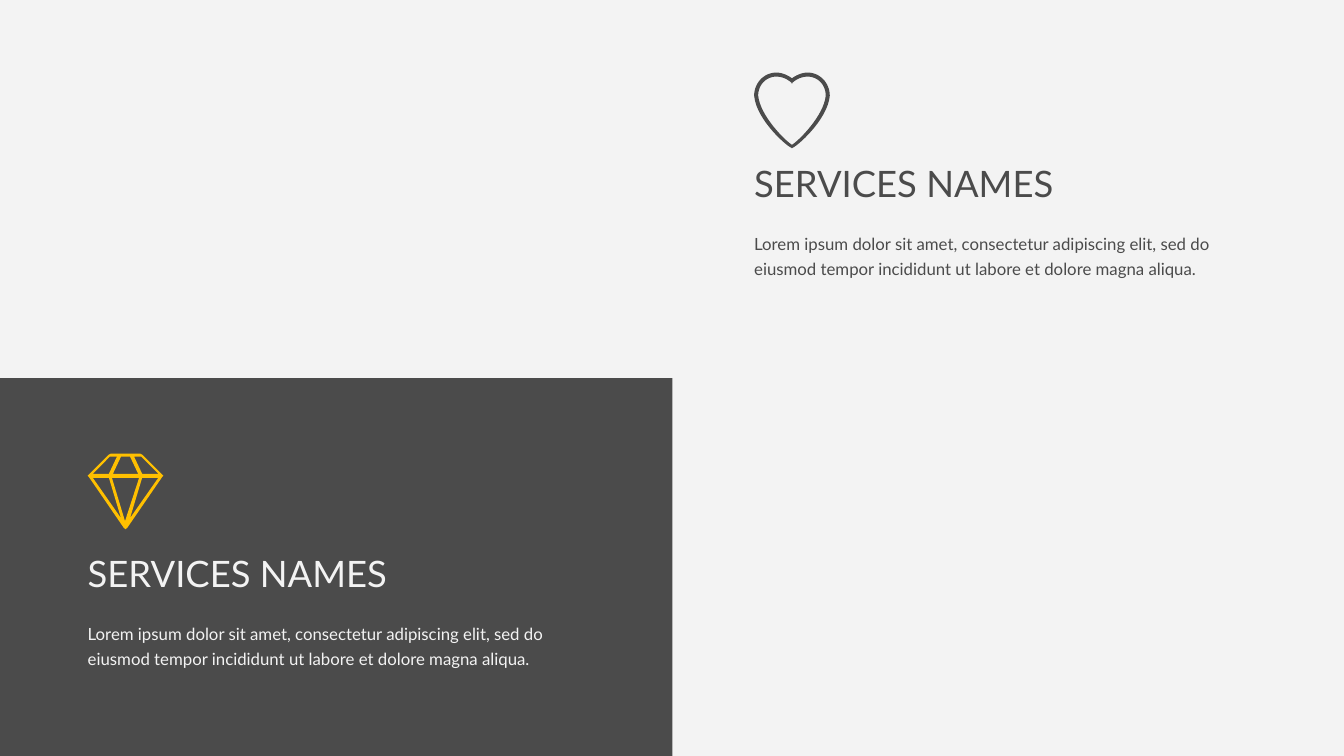
from pptx import Presentation
from pptx.dml.color import RGBColor
from pptx.enum.text import MSO_ANCHOR, MSO_AUTO_SIZE, PP_ALIGN
from pptx.enum.shapes import MSO_SHAPE
from pptx.util import Inches, Pt

RECT = MSO_SHAPE.RECTANGLE
TOP = MSO_ANCHOR.TOP
LEFT = PP_ALIGN.LEFT
GROW = MSO_AUTO_SIZE.SHAPE_TO_FIT_TEXT

COLORS = {"light": "F3F3F3", "dark": "4B4B4B", "accent": "FFC000"}
FONT = "Lato"
ICON_SIZE = 0.75
HEADING = "SERVICES NAMES"
BODY = ("Lorem ipsum dolor sit amet, consectetur adipiscing elit, sed do "
        "eiusmod tempor incididunt ut labore et dolore magna aliqua.")

DIAMOND_EDGE = [(0.37, 0), (0.52, 0), (0.54, 0.01), (0.74, 0.21), (0.75, 0.22),
                (0.74, 0.23), (0.39, 0.74), (0.37, 0.75)]
SIDE_FACETS = [
    [(0.42, 0.64), (0.54, 0.24), (0.7, 0.24)],
    [(0.53, 0.03), (0.7, 0.2), (0.54, 0.2), (0.46, 0.03)],
]
MIDDLE_FACETS = [
    [(0.37, 0.67), (0.24, 0.24), (0.51, 0.24)],
    [(0.42, 0.03), (0.5, 0.2), (0.25, 0.2), (0.33, 0.03)],
]
HEART_EDGE = [(0.37, 0.06), (0.41, 0.03), (0.47, 0), (0.53, 0),
              (0.65, 0), (0.75, 0.1), (0.75, 0.23),
              (0.73, 0.47), (0.41, 0.75), (0.37, 0.75)]
HEART_HOLE = [(0.37, 0.11), (0.42, 0.06), (0.48, 0.04), (0.53, 0.04),
              (0.63, 0.04), (0.71, 0.12), (0.71, 0.23),
              (0.69, 0.43), (0.44, 0.68), (0.37, 0.72)]


def mirror(points):
    """Reflect points across the icon's vertical axis, in reverse order."""
    return [(ICON_SIZE - x, y) for x, y in reversed(points)]


def curve(controls, steps=16):
    """Sample a chain of cubic Bezier segments."""
    points = [controls[0]]
    for i in range(0, len(controls) - 1, 3):
        segment = controls[i:i + 4]
        for n in range(1, steps + 1):
            t = n / steps
            weights = ((1 - t) ** 3, 3 * t * (1 - t) ** 2, 3 * t * t * (1 - t), t ** 3)
            points.append(tuple(sum(w * pt[axis] for w, pt in zip(weights, segment))
                                for axis in (0, 1)))
    return points


def symmetric(half):
    """Close a right half with its mirrored left half."""
    return half + mirror(half)


class SlideBuilder:
    """Hold the style and the current slide."""

    def __init__(self, prs):
        """Add a slide with the light background."""
        self.slide = prs.slides.add_slide(prs.slide_layouts[5])
        self.shapes = self.slide.shapes
        self.paint(self.slide.background.fill, "light")

    def paint(self, fill, color):
        """Apply a solid named colour."""
        fill.solid()
        fill.fore_color.rgb = RGBColor.from_string(COLORS[color])

    def finish(self, sp, color):
        """Give a shape a flat fill without outline or shadow."""
        self.paint(sp.fill, color)
        sp.line.fill.background()
        sp.shadow.inherit = False

    def panel(self, x, y, w, h, color):
        """Add a plain rectangle."""
        sp = self.shapes.add_shape(RECT, Inches(x), Inches(y), Inches(w), Inches(h))
        self.finish(sp, color)

    def icon(self, x, y, contours, color):
        """Add a freeform icon whose inner contours are holes."""
        outlines = [[(Inches(px), Inches(py)) for px, py in c] for c in contours]
        builder = self.shapes.build_freeform(*outlines[0][0])
        builder.add_line_segments(outlines[0][1:])
        for outline in outlines[1:]:
            builder.move_to(*outline[0])
            builder.add_line_segments(outline[1:])
        self.finish(builder.convert_to_shape(Inches(x), Inches(y)), color)

    def text(self, x, y, w, h, text, size, color, sp=None, wrap=False, spacing=1.0):
        """Fill a placeholder, or a new text box, with one paragraph."""
        sp = sp or self.shapes.add_textbox(0, 0, 0, 0)
        sp.left, sp.top, sp.width, sp.height = map(Inches, (x, y, w, h))
        tf = sp.text_frame
        tf.margin_left = tf.margin_top = tf.margin_right = tf.margin_bottom = 0
        tf.vertical_anchor = TOP
        tf.word_wrap = wrap
        tf.auto_size = GROW
        p = tf.paragraphs[0]
        p.text = text
        p.alignment = LEFT
        p.line_spacing = spacing
        p.font.name = FONT
        p.font.size = Pt(size)
        p.font.color.rgb = RGBColor.from_string(COLORS[color])

    def service(self, x, y, color, title=None):
        """Add a service heading with its description."""
        self.text(x, y, 3.05, 0.44, HEADING, 26, color, sp=title)
        self.text(x, y + 0.67, 4.55, 0.76, BODY, 12, color, wrap=True, spacing=1.25)


def main():
    """Build and save the services slide."""
    prs = Presentation()
    prs.slide_width, prs.slide_height = Inches(13.33), Inches(7.5)
    s = SlideBuilder(prs)
    diamond = [symmetric(DIAMOND_EDGE), *SIDE_FACETS,
               *map(mirror, SIDE_FACETS), *MIDDLE_FACETS]
    heart = [symmetric(curve(half)) for half in (HEART_EDGE, HEART_HOLE)]
    s.panel(0, 3.75, 6.67, 3.75, "dark")
    s.icon(0.87, 4.5, diamond, "accent")
    s.icon(7.48, 0.72, heart, "dark")
    s.service(0.87, 5.47, "light")
    s.service(7.48, 1.6, "dark", title=s.shapes.title)
    prs.save("out.pptx")


if __name__ == "__main__":
    main()
